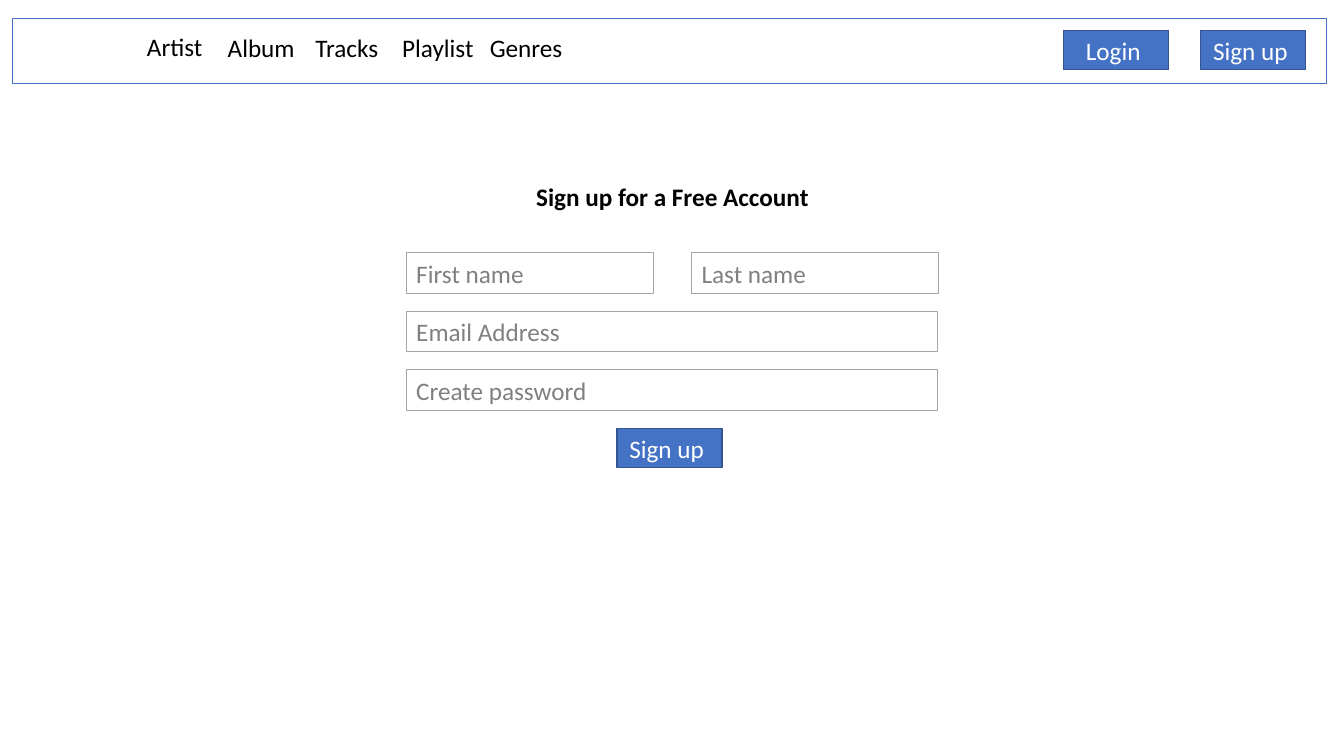
from dataclasses import dataclass
from typing import Any

from pptx import Presentation
from pptx.dml.color import RGBColor
from pptx.enum.shapes import MSO_SHAPE
from pptx.enum.text import MSO_ANCHOR, MSO_AUTO_SIZE, PP_ALIGN
from pptx.util import Emu, Pt

PX = 9144
BLUE, NAVY, GREY, SILVER = "4472C4", "325491", "808080", "A6A6A6"
BLACK, WHITE = "000000", "FFFFFF"


@dataclass(frozen=True)
class Item:
    """A label and its place in px."""
    text: str
    x: int
    y: int
    w: int
    h: int = 40


NAV_BAR = Item("", 12, 18, 1304, 65)
MENU = [Item("Artist", 136, 26, 77)] + [
    Item(text, 216 + round(i * 260 / 3), 27, 98)
    for i, text in enumerate(("Album", "Tracks", "Playlist", "Genres"))]
NAV_BUTTONS = [Item("Login ", 1055, 30, 104, 39), Item("Sign up ", 1191, 30, 104, 39)]
HEADING = Item("Sign up for a Free Account", 265, 175, 804)
FIELDS = [
    Item("First name", 403, 251, 245),
    Item("Last name", 686, 251, 245),
    Item("Email Address", 403, 309, 527),
    Item("Create password", 403, 367, 527),
]
SUBMIT = Item("Sign up ", 612, 425, 104, 39)


def px(n: int) -> Emu:
    return Emu(n * PX)


def rgb(value: str) -> RGBColor:
    return RGBColor.from_string(value)


def box(item: Item) -> tuple[Emu, Emu, Emu, Emu]:
    return px(item.x), px(item.y), px(item.w), px(item.h)


def apply(target: Any, formats: dict[str, Any]) -> None:
    for name, value in formats.items():
        setattr(target, name, value)


def write(sp: Any, text: str, color: str, align: PP_ALIGN = PP_ALIGN.LEFT,
          anchor: MSO_ANCHOR = MSO_ANCHOR.TOP, bold: bool = False) -> None:
    tf = sp.text_frame
    grow = MSO_AUTO_SIZE.NONE if anchor == MSO_ANCHOR.MIDDLE else MSO_AUTO_SIZE.SHAPE_TO_FIT_TEXT
    apply(tf, {"word_wrap": True, "vertical_anchor": anchor, "auto_size": grow})
    p = tf.paragraphs[0]
    p.alignment = align
    r = p.add_run()
    r.text = text
    apply(r.font, {"name": "Calibri", "size": Pt(18), "bold": bold})
    r.font.color.rgb = rgb(color)


def add_outline(shapes: Any, item: Item, line: str, width: float = 0.75,
                kind: MSO_SHAPE = MSO_SHAPE.RECTANGLE) -> Any:
    sp = shapes.add_shape(kind, *box(item))
    sp.shadow.inherit = False
    sp.fill.background()
    sp.line.color.rgb = rgb(line)
    sp.line.width = Pt(width)
    return sp


def add_button(shapes: Any, item: Item) -> None:
    sp = add_outline(shapes, item, NAVY, 1, MSO_SHAPE.FLOWCHART_PROCESS)
    sp.fill.solid()
    sp.fill.fore_color.rgb = rgb(BLUE)
    write(sp, item.text, WHITE, PP_ALIGN.CENTER, MSO_ANCHOR.MIDDLE)


def add_field(shapes: Any, item: Item) -> None:
    write(add_outline(shapes, item, SILVER), item.text, GREY)


def add_label(shapes: Any, item: Item, align: PP_ALIGN = PP_ALIGN.LEFT,
              bold: bool = False) -> None:
    write(shapes.add_textbox(*box(item)), item.text, BLACK, align, bold=bold)


def main() -> None:
    prs = Presentation()
    apply(prs, {"slide_width": px(1333), "slide_height": px(750)})
    s = prs.slides.add_slide(prs.slide_layouts[6])
    nav = s.shapes.add_group_shape().shapes
    add_outline(nav, NAV_BAR, BLUE)
    for item in NAV_BUTTONS:
        add_button(nav, item)
    for item in MENU:
        add_label(nav, item)
    add_label(s.shapes, HEADING, PP_ALIGN.CENTER, bold=True)
    for item in FIELDS:
        add_field(s.shapes, item)
    add_button(s.shapes, SUBMIT)
    prs.save("out.pptx")


if __name__ == "__main__":
    main()
